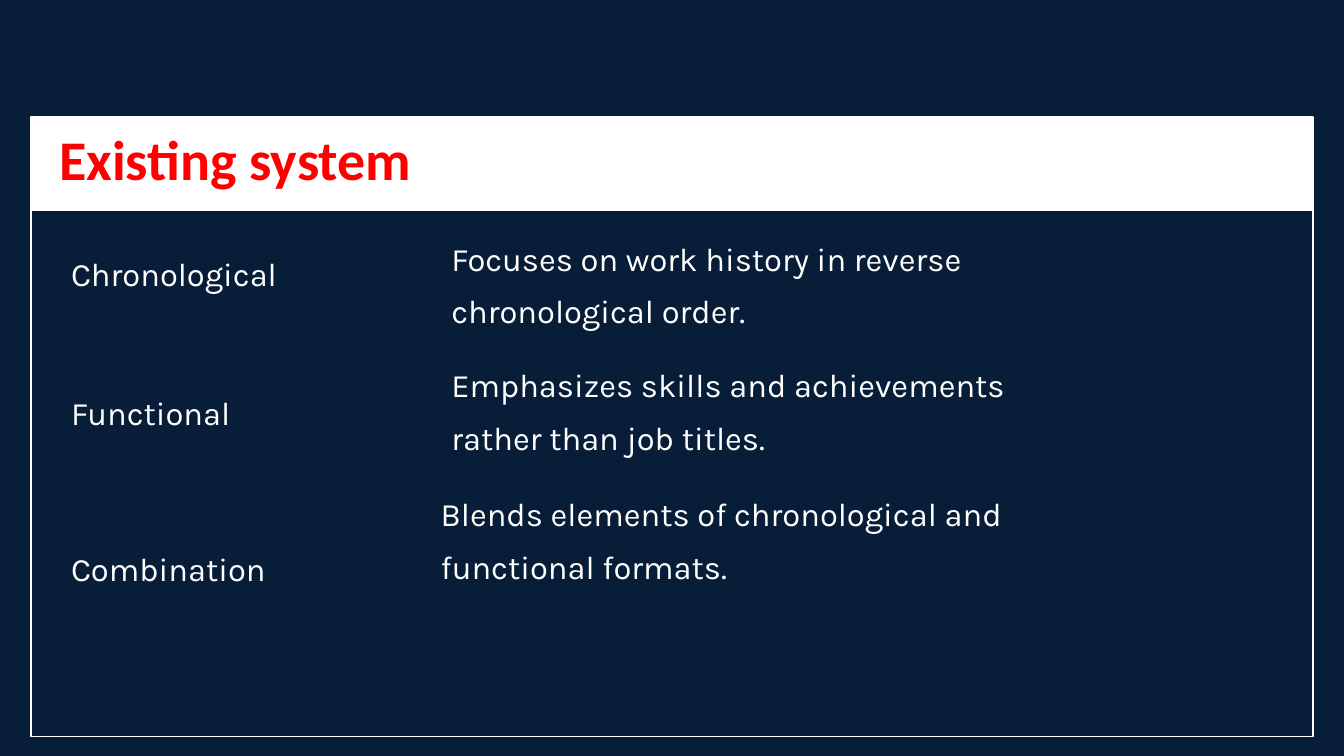
from pptx import Presentation
from pptx.dml.color import RGBColor
from pptx.enum.shapes import MSO_SHAPE
from pptx.enum.text import MSO_ANCHOR, PP_ALIGN
from pptx.util import Inches, Pt

RECTANGLE = MSO_SHAPE.RECTANGLE
MIDDLE = MSO_ANCHOR.MIDDLE
LEFT = PP_ALIGN.LEFT
TITLE_ONLY = 5

COLORS = {"navy": "081D37", "white": "FFFFFF", "red": "FF0000"}
TITLE = "Existing system"
# format, its top, description, its left and top
FORMATS = [
    ("Chronological", 1.74,
     "Focuses on work history in reverse chronological order.", 3.26, 1.63),
    ("Functional", 2.78,
     "Emphasizes skills and achievements rather than job titles.", 3.26, 2.57),
    ("Combination", 3.94,
     "Blends elements of chronological and functional formats.", 3.18, 3.53),
]
NAME_LEFT, TEXT_WIDTH, LINE_HEIGHT = 0.43, 4.88, 0.39
PANEL_LEFT, PANEL_TOP, PANEL_WIDTH = 0.23, 0.87, 9.54
HEADER_HEIGHT, PANEL_HEIGHT = 0.7, 4.61


def color(name):
    return RGBColor.from_string(COLORS[name])


def style(paragraph, font_name, size, color_name, bold=False):
    paragraph.alignment = LEFT
    font = paragraph.runs[0].font
    font.name, font.size, font.bold = font_name, Pt(size), bold
    font.color.rgb = color(color_name)


def add_panel_part(group, height):
    part = group.shapes.add_shape(
        RECTANGLE, *map(Inches, (PANEL_LEFT, PANEL_TOP, PANEL_WIDTH, height)))
    part.shadow.inherit = False
    return part


def add_text(page, text, left, top, lines):
    box = page.shapes.add_textbox(
        *map(Inches, (left, top, TEXT_WIDTH, lines * LINE_HEIGHT)))
    frame = box.text_frame
    frame.word_wrap = True
    frame.text = text
    para = frame.paragraphs[0]
    para.line_spacing = Pt(28)
    style(para, "Karla", 17.5, "white")


def add_title(page):
    title = page.shapes.title
    title.left, title.top, title.width, title.height = map(
        Inches, (0.34, 0.93, 9.32, 0.5))
    frame = title.text_frame
    frame.text = TITLE
    frame.vertical_anchor = MIDDLE
    frame.margin_left = frame.margin_right = Inches(0.1)
    frame.margin_top = frame.margin_bottom = Inches(0.1)
    style(frame.paragraphs[0], "Calibri", 30, "red", bold=True)


def main():
    deck = Presentation()
    deck.slide_width = Inches(10)
    deck.slide_height = deck.slide_width * 9 // 16
    page = deck.slides.add_slide(deck.slide_layouts[TITLE_ONLY])
    page.background.fill.solid()
    page.background.fill.fore_color.rgb = color("navy")

    panel = page.shapes.add_group_shape()
    header = add_panel_part(panel, HEADER_HEIGHT)
    header.fill.solid()
    header.fill.fore_color.rgb = color("white")
    header.line.fill.background()
    border = add_panel_part(panel, PANEL_HEIGHT)
    border.fill.background()
    border.line.color.rgb = color("white")
    border.line.width = Pt(0.75)

    # The title is drawn above the panel's white header.
    tree = page.shapes.title.element.getparent()
    tree.append(page.shapes.title.element)
    add_title(page)

    for name, name_top, description, left, top in FORMATS:
        add_text(page, name, NAME_LEFT, name_top, lines=1)
        add_text(page, description, left, top, lines=2)
    deck.save("out.pptx")


if __name__ == "__main__":
    main()
